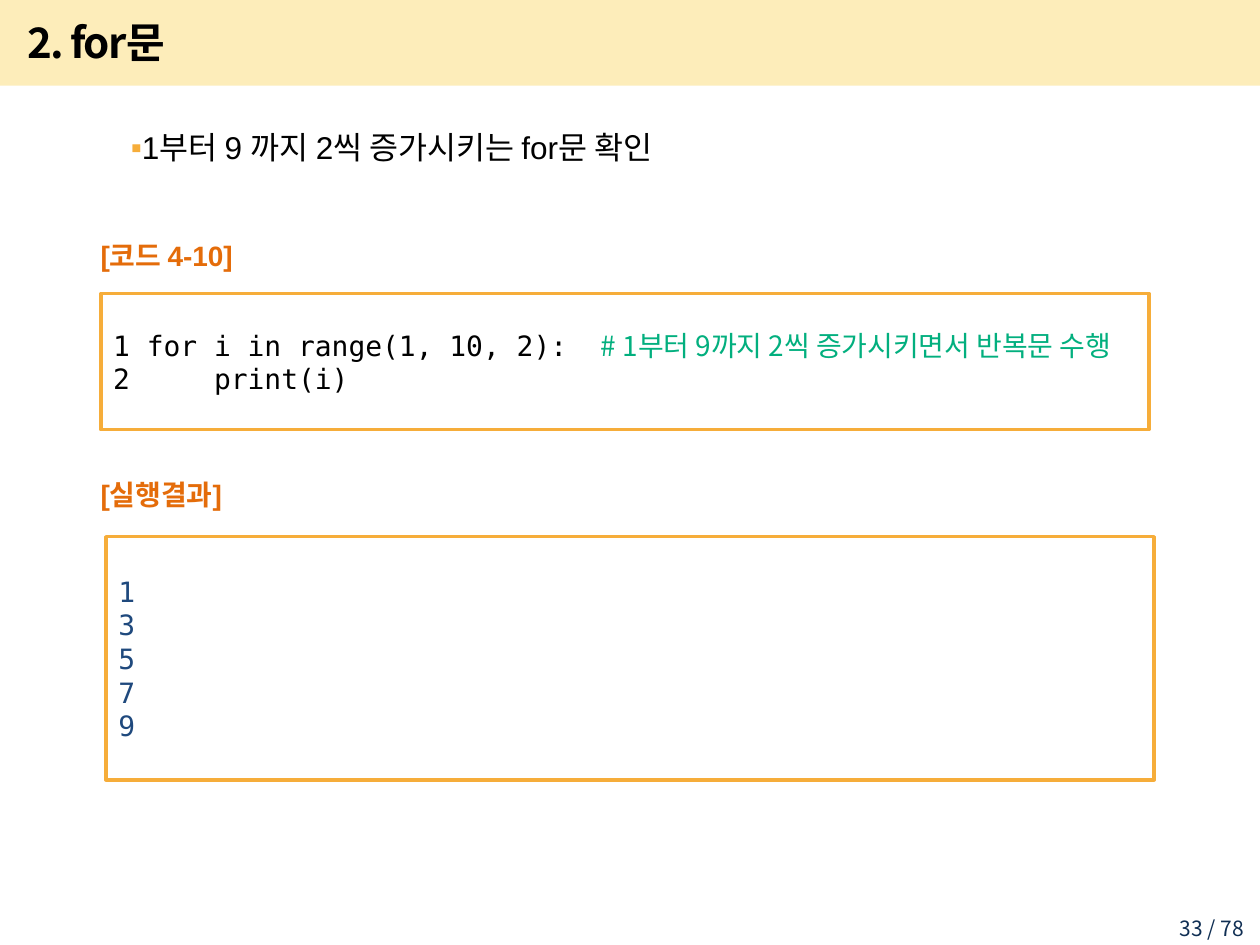
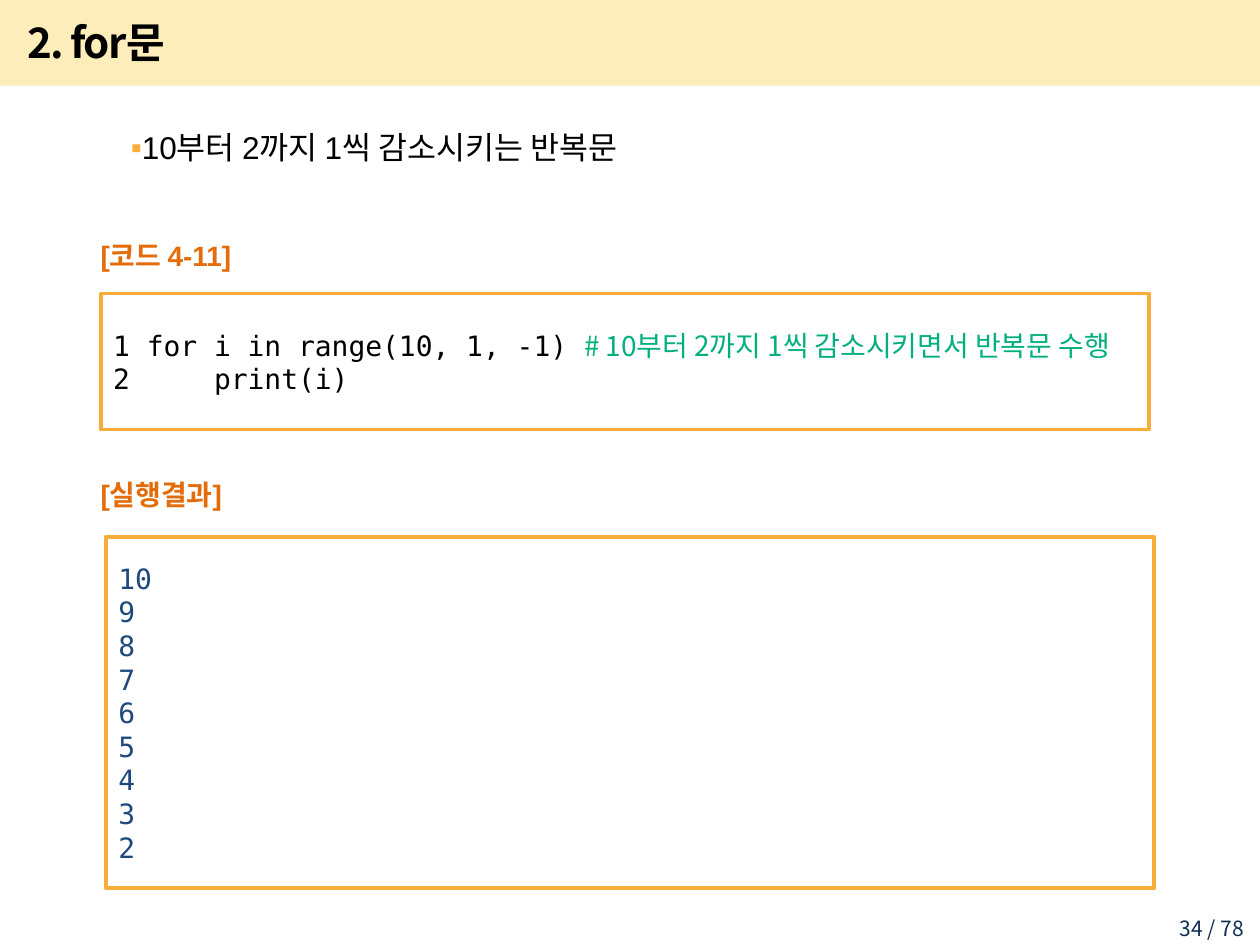
"""Build two lesson slides, each with a for loop and its printed result."""
from lxml.etree import SubElement
from pptx import Presentation
from pptx.dml.color import RGBColor
from pptx.enum.shapes import MSO_SHAPE as Shape
from pptx.enum.text import MSO_ANCHOR as Anchor, PP_ALIGN as Align
from pptx.oxml.ns import qn
from pptx.util import Inches, Pt

TITLE = "2. for문"
RESULT_LABEL = "[실행결과]"
PAGE_TOTAL = 78
LESSONS = [
    {
        "page": 33,
        "point": "1부터 9 까지 2씩 증가시키는 for문 확인",
        "label": "[코드 4-10]",
        "loop": "1 for i in range(1, 10, 2):  ",
        "comment": "# 1부터 9까지 2씩 증가시키면서 반복문 수행",
        "results": range(1, 10, 2),
        "result_height": 1.93,
    },
    {
        "page": 34,
        "point": "10부터 2까지 1씩 감소시키는 반복문",
        "label": "[코드 4-11]",
        "loop": "1 for i in range(10, 1, -1) ",
        "comment": "# 10부터 2까지 1씩 감소시키면서 반복문 수행",
        "results": range(10, 1, -1),
        "result_height": 2.79,
    },
]
LOOP_BODY = "2     print(i)"

BLACK = RGBColor(0x00, 0x00, 0x00)
BAND = RGBColor(0xFA, 0xBE, 0x00)
FRAME = RGBColor(0xF6, 0xAD, 0x3A)
LABEL = RGBColor(0xE4, 0x6C, 0x0A)
COMMENT = RGBColor(0x02, 0xAF, 0x7E)
RESULT = RGBColor(0x1F, 0x49, 0x7D)
PAGE = RGBColor(0x0F, 0x2E, 0x53)

SANS, MONO, KOREAN = "Arial", "DejaVu Sans Mono", "Noto Sans CJK KR"
BAND_OPACITY = 27
BOX_WIDTH = 8.32


def add_run(paragraph, text, size, color, font=SANS, bold=False):
    run = paragraph.add_run()
    run.text = text
    run.font.size = Pt(size)
    run.font.bold = bold
    run.font.color.rgb = color
    run.font.name = font
    SubElement(run.font._element, qn("a:ea"), typeface=KOREAN)
    return run


def add_text(slide, place, anchor=Anchor.MIDDLE):
    frame = slide.shapes.add_textbox(*map(Inches, place)).text_frame
    frame.word_wrap = True
    frame.vertical_anchor = anchor
    return frame.paragraphs[0]


def add_rectangle(slide, *place):
    shape = slide.shapes.add_shape(Shape.RECTANGLE, *map(Inches, place))
    shape.shadow.inherit = False
    return shape


def add_framed_lines(slide, place, lines):
    shape = add_rectangle(slide, *place)
    shape.fill.background()
    shape.line.color.rgb = FRAME
    shape.line.width = Pt(2)
    frame = shape.text_frame
    frame.word_wrap = True
    frame.vertical_anchor = Anchor.MIDDLE
    for index, runs in enumerate(lines):
        paragraph = frame.add_paragraph() if index else frame.paragraphs[0]
        paragraph.alignment = Align.LEFT
        for text, color, font in runs:
            add_run(paragraph, text, 16, color, font)


def add_master_parts(slide, page):
    band = add_rectangle(slide, 0, 0, 10, 0.68)
    band.fill.solid()
    band.fill.fore_color.rgb = BAND
    band.line.fill.background()
    color = band._element.spPr.find(qn("a:solidFill"))[0]
    SubElement(color, qn("a:alpha"), val=str(BAND_OPACITY * 1000))

    title = add_run(add_text(slide, (0.12, 0.07, 8.51, 0.52)), TITLE, 24, BLACK, KOREAN, True)
    title.font._element.set("spc", "-100")

    number = add_text(slide, (9.05, 7.22, 0.92, 0.23), Anchor.TOP)
    number.alignment = Align.RIGHT
    add_run(number, f"{page} / {PAGE_TOTAL}", 12, PAGE, KOREAN)


def add_point(slide, text):
    paragraph = add_text(slide, (0.35, 0.82, 9.15, 6.61), Anchor.TOP)
    paragraph.line_spacing = 1.5
    paragraph.space_before = Pt(3.6)
    properties = paragraph._p.get_or_add_pPr()
    properties.set("marL", str(Inches(0.39)))
    properties.set("indent", str(Inches(0.2)))
    bullet_color = SubElement(properties, qn("a:buClr"))
    SubElement(bullet_color, qn("a:srgbClr"), val=str(FRAME))
    SubElement(properties, qn("a:buFont"), typeface=SANS)
    SubElement(properties, qn("a:buChar"), char="▪")
    add_run(paragraph, text, 18, BLACK)


def add_lesson(slide, lesson):
    add_master_parts(slide, lesson["page"])
    add_point(slide, lesson["point"])
    for label, top, height in ((lesson["label"], 1.78, 0.5), (RESULT_LABEL, 3.65, 0.55)):
        add_run(add_text(slide, (0.7, top, 1.57, height)), label, 16, LABEL, bold=True)
    code = [
        [(lesson["loop"], BLACK, MONO), (lesson["comment"], COMMENT, KOREAN)],
        [(LOOP_BODY, BLACK, MONO)],
    ]
    results = [[(str(value), RESULT, MONO)] for value in lesson["results"]]
    add_framed_lines(slide, (0.8, 2.33, BOX_WIDTH, 1.08), code)
    add_framed_lines(slide, (0.84, 4.26, BOX_WIDTH, lesson["result_height"]), results)


def main():
    presentation = Presentation()
    presentation.slide_width = Inches(10)
    presentation.slide_height = Inches(7.5)
    for lesson in LESSONS:
        add_lesson(presentation.slides.add_slide(presentation.slide_layouts[6]), lesson)
    presentation.save("out.pptx")


if __name__ == "__main__":
    main()
